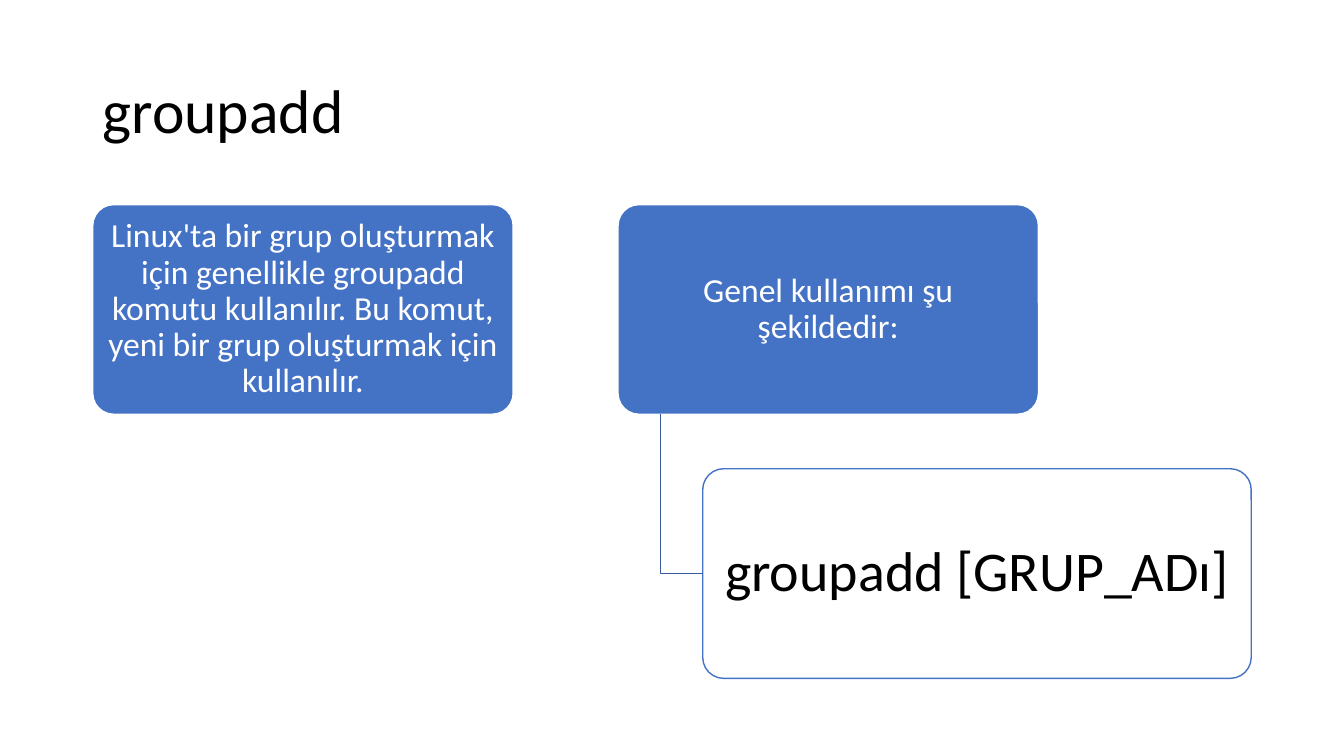
from lxml.etree import SubElement
from pptx import Presentation
from pptx.dml.color import RGBColor
from pptx.enum.shapes import MSO_SHAPE
from pptx.enum.text import MSO_ANCHOR, PP_ALIGN
from pptx.oxml.ns import qn
from pptx.util import Inches, Pt

COLORS = {
    "white": "FFFFFF",
    "black": "000000",
    "blue": "4472C4",
    "dark_blue": "365B9D",
}
CARD_TOP, CARD_WIDTH, CARD_HEIGHT = 2.03, 4.17, 2.08
COMMAND_LEFT, COMMAND_TOP, COMMAND_WIDTH = 6.97, 4.65, 5.44
CARDS = [
    (0.92, "Linux'ta bir grup oluşturmak için genellikle groupadd komutu "
           "kullanılır. Bu komut, yeni bir grup oluşturmak için kullanılır."),
    (6.13, "Genel kullanımı şu şekildedir:"),
]


def color(name):
    return RGBColor.from_string(COLORS[name])


def set_text(shape, text, size, color_name, align):
    frame = shape.text_frame
    frame.word_wrap = True
    frame.vertical_anchor = MSO_ANCHOR.MIDDLE
    paragraph = frame.paragraphs[0]
    paragraph.text = text
    paragraph.alignment = align
    paragraph.line_spacing = 0.9
    paragraph.font.name = "Calibri"
    paragraph.font.size = Pt(size)
    paragraph.font.color.rgb = color(color_name)


def set_line(shape, color_name):
    shape.shadow.inherit = False
    shape.line.color.rgb = color(color_name)
    shape.line.width = Pt(1)


def set_opacity(shape, percent):
    fill_color = shape.fill._xPr.find(qn("a:solidFill"))[0]
    SubElement(fill_color, qn("a:alpha")).set("val", str(percent * 1000))


def add_title(slide, text):
    title = slide.shapes.add_textbox(Inches(0.92), Inches(0.4), Inches(11.5), Inches(1.45))
    set_text(title, text, 44, "black", PP_ALIGN.LEFT)


def add_box(slide, left, top, width, text, size, fill, line, text_color, insets):
    box = slide.shapes.add_shape(
        MSO_SHAPE.ROUNDED_RECTANGLE,
        Inches(left), Inches(top), Inches(width), Inches(CARD_HEIGHT))
    box.adjustments[0] = 0.1
    box.fill.solid()
    box.fill.fore_color.rgb = color(fill)
    set_line(box, line)
    frame = box.text_frame
    frame.margin_left = frame.margin_right = Inches(insets[0])
    frame.margin_top = frame.margin_bottom = Inches(insets[1])
    set_text(box, text, size, text_color, PP_ALIGN.CENTER)
    return box


def add_branch(slide, left, top, right, bottom):
    """Draw a line going down, then right."""
    builder = slide.shapes.build_freeform(Inches(left), Inches(top))
    builder.add_line_segments(
        [(Inches(left), Inches(bottom)), (Inches(right), Inches(bottom))], close=False)
    branch = builder.convert_to_shape()
    branch.fill.background()
    set_line(branch, "dark_blue")


def main():
    presentation = Presentation()
    presentation.slide_width = Inches(13.33)
    presentation.slide_height = Inches(7.5)
    slide = presentation.slides.add_slide(presentation.slide_layouts[6])

    add_title(slide, "groupadd")
    for left, text in CARDS:
        add_box(slide, left, CARD_TOP, CARD_WIDTH, text, 24,
                "blue", "white", "white", (0.05, 0.03))
    add_branch(slide, 6.55, CARD_TOP + CARD_HEIGHT,
               COMMAND_LEFT, COMMAND_TOP + CARD_HEIGHT / 2)
    command = add_box(slide, COMMAND_LEFT, COMMAND_TOP, COMMAND_WIDTH,
                      "groupadd [GRUP_ADı]", 40,
                      "white", "blue", "black", (0.08, 0.06))
    set_opacity(command, 90)

    presentation.save("out.pptx")


if __name__ == "__main__":
    main()
